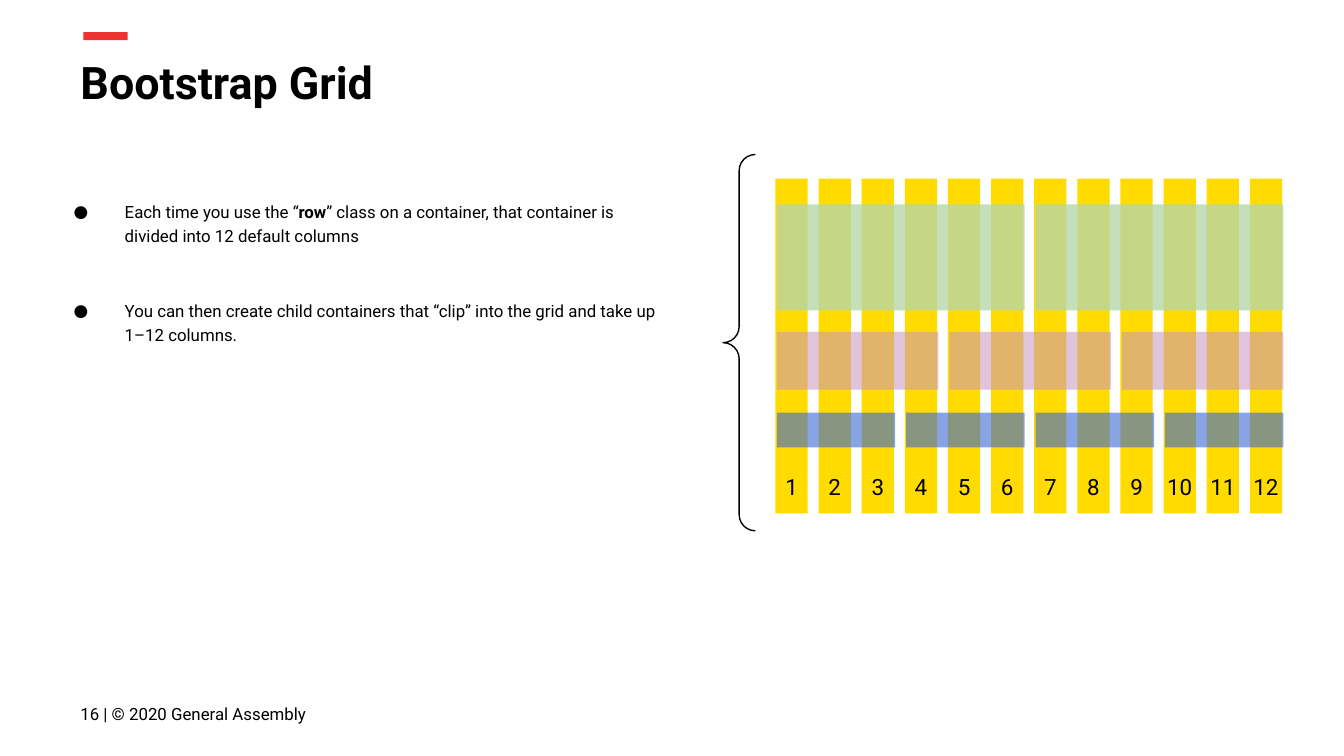
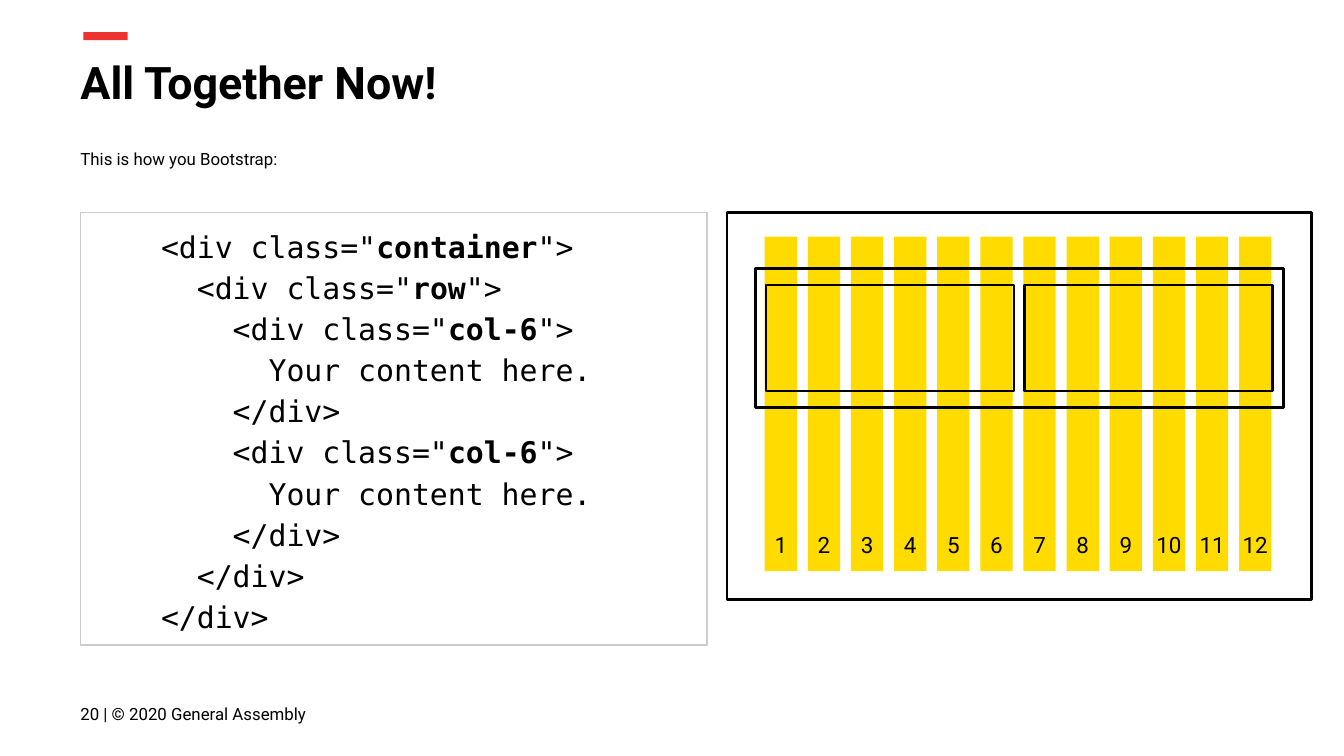
import pptx
import pptx.util
import pptx.dml.color
import pptx.enum.shapes
import pptx.enum.text
import pptx.oxml
import pptx.oxml.ns

Inches = pptx.util.Inches
Pt = pptx.util.Pt
Shape = pptx.enum.shapes.MSO_SHAPE
Align = pptx.enum.text.PP_ALIGN
Anchor = pptx.enum.text.MSO_ANCHOR

BLACK = "000000"
RED = "ED332F"
YELLOW = "FFDB00"
GREEN = "B6D7A8"
PINK = "C996BF"
BLUE = "3D6BD4"
GRAY = "CCCCCC"

COUNT = 12
WIDTH = 0.24
STEP = 3.53 / 11

CODE = [
    '<div class="*container*">',
    '  <div class="*row*">',
    '    <div class="*col-6*">',
    "      Your content here.",
    "    </div>",
    '    <div class="*col-6*">',
    "      Your content here.",
    "    </div>",
    "  </div>",
    "</div>",
]


def color(value):
    return pptx.dml.color.RGBColor.from_string(value)


def child(parent, tag, **attrs):
    node = pptx.oxml.parse_xml(f"<a:{tag} {pptx.oxml.ns.nsdecls('a')}/>")
    for key, value in attrs.items():
        node.set(key, str(value))
    parent.append(node)
    return node


def bullet(par, size):
    props = par._p.get_or_add_pPr()
    child(child(props, "buClr"), "srgbClr", val=BLACK)
    child(props, "buSzPts", val=size * 100)
    child(props, "buFont", typeface="Roboto")
    child(props, "buChar", char="●")


def write(shape, lines, size=9, font="Roboto", bold=False, align=Align.LEFT,
          anchor=Anchor.TOP, side=0.1, indent=0, hang=0, spacing=None, gap=0):
    frame = shape.text_frame
    frame.word_wrap = True
    frame.vertical_anchor = anchor
    frame.margin_left = frame.margin_right = Inches(side)
    frame.margin_top = frame.margin_bottom = Inches(0.1)
    for index, line in enumerate(lines):
        par = frame.add_paragraph() if index else frame.paragraphs[0]
        props = par._p.get_or_add_pPr()
        props.set("marL", str(Inches(indent)))
        props.set("indent", str(Inches(-hang)))
        if hang:
            bullet(par, size)
        par.alignment = align
        if spacing:
            par.line_spacing = spacing
        if index and gap:
            par.space_before = Pt(gap)
        for part, words in enumerate(line.split("*")):
            run = par.add_run()
            run.text = words
            run.font.name = font
            run.font.size = Pt(size)
            run.font.bold = bold or part % 2 == 1
            run.font.color.rgb = color(BLACK)


def label(slide, left, top, width, height, lines, **style):
    box = slide.shapes.add_textbox(
        Inches(left), Inches(top), Inches(width), Inches(height))
    write(box, lines, **style)


def draw(slide, left, top, width, height, fill=None, alpha=None,
         line=None, weight=1.5, kind=Shape.RECTANGLE):
    shape = slide.shapes.add_shape(
        kind, Inches(left), Inches(top), Inches(width), Inches(height))
    shape.shadow.inherit = False
    if fill:
        shape.fill.solid()
        shape.fill.fore_color.rgb = color(fill)
        if alpha:
            tint = shape._element.spPr.find(".//" + pptx.oxml.ns.qn("a:srgbClr"))
            child(tint, "alpha", val=alpha * 1000)
    else:
        shape.fill.background()
    if line:
        shape.line.color.rgb = color(line)
        shape.line.width = Pt(weight)
    else:
        shape.line.fill.background()
    return shape


def start(deck, title, number):
    slide = deck.slides.add_slide(deck.slide_layouts[6])
    draw(slide, 0.62, 0.24, 0.33, 0.06, fill=RED)
    label(slide, 0.5, 0.31, 9.32, 0.63, [title], size=24, bold=True)
    label(slide, 0.5, 5.1, 2.59, 0.43,
          [f"{number} | © 2020 General Assembly"], anchor=Anchor.MIDDLE)
    return slide


def grid(slide, left, top):
    for index in range(COUNT):
        column = draw(slide, left + index * STEP, top, WIDTH, 2.49, fill=YELLOW)
        write(column, [str(index + 1)], size=12, align=Align.CENTER,
              anchor=Anchor.BOTTOM, side=0)


def row(slide, left, top, height, span, **style):
    width = (span - 1) * STEP + WIDTH
    for first in range(0, COUNT, span):
        draw(slide, left + first * STEP, top, width, height, **style)


def columns(deck):
    slide = start(deck, "Bootstrap Grid", 16)
    label(slide, 0.33, 1.37, 4.73, 3.22, [
        "Each time you use the “*row*” class on a container, "
        "that container is divided into 12 default columns",
        "You can then create child containers that “clip” into the grid "
        "and take up 1–12 columns.",
    ], indent=0.5, hang=0.38, spacing=1.2, gap=27)
    grid(slide, 5.77, 1.33)
    row(slide, 5.78, 1.52, 0.79, 6, fill=GREEN, alpha=79)
    row(slide, 5.78, 2.47, 0.43, 4, fill=PINK, alpha=56)
    row(slide, 5.78, 3.07, 0.26, 3, fill=BLUE, alpha=61)
    brace = draw(slide, 5.38, 1.15, 0.24, 2.8, line=BLACK, weight=0.75,
                 kind=Shape.LEFT_BRACE)
    brace.adjustments[0] = 0.5
    brace.adjustments[1] = 0.5


def example(deck):
    slide = start(deck, "All Together Now!", 20)
    label(slide, 0.5, 1, 8.99, 0.43, ["This is how you Bootstrap:"],
          spacing=1.15)
    draw(slide, 5.41, 1.58, 4.35, 2.88, line=BLACK)
    grid(slide, 5.69, 1.76)
    row(slide, 5.7, 2.12, 0.79, 6, line=BLACK)
    draw(slide, 5.62, 2, 3.93, 1.03, line=BLACK)
    panel = draw(slide, 0.6, 1.58, 4.66, 3.22, line=GRAY, weight=0.75)
    write(panel, CODE, size=16, font="DejaVu Sans Mono",
          anchor=Anchor.MIDDLE, indent=0.5, spacing=1.15)


def main():
    deck = pptx.Presentation()
    deck.slide_width = Inches(10)
    deck.slide_height = deck.slide_width * 9 // 16
    columns(deck)
    example(deck)
    deck.save("out.pptx")


if __name__ == "__main__":
    main()
